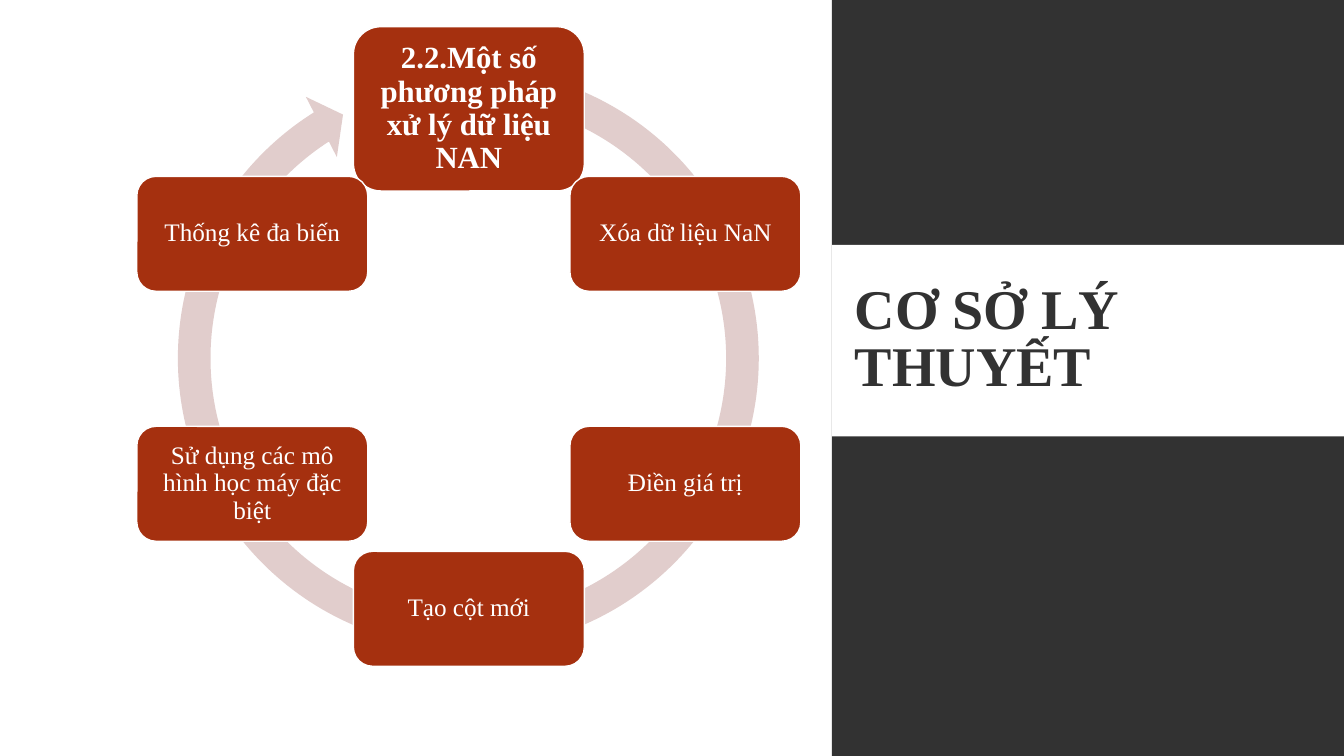
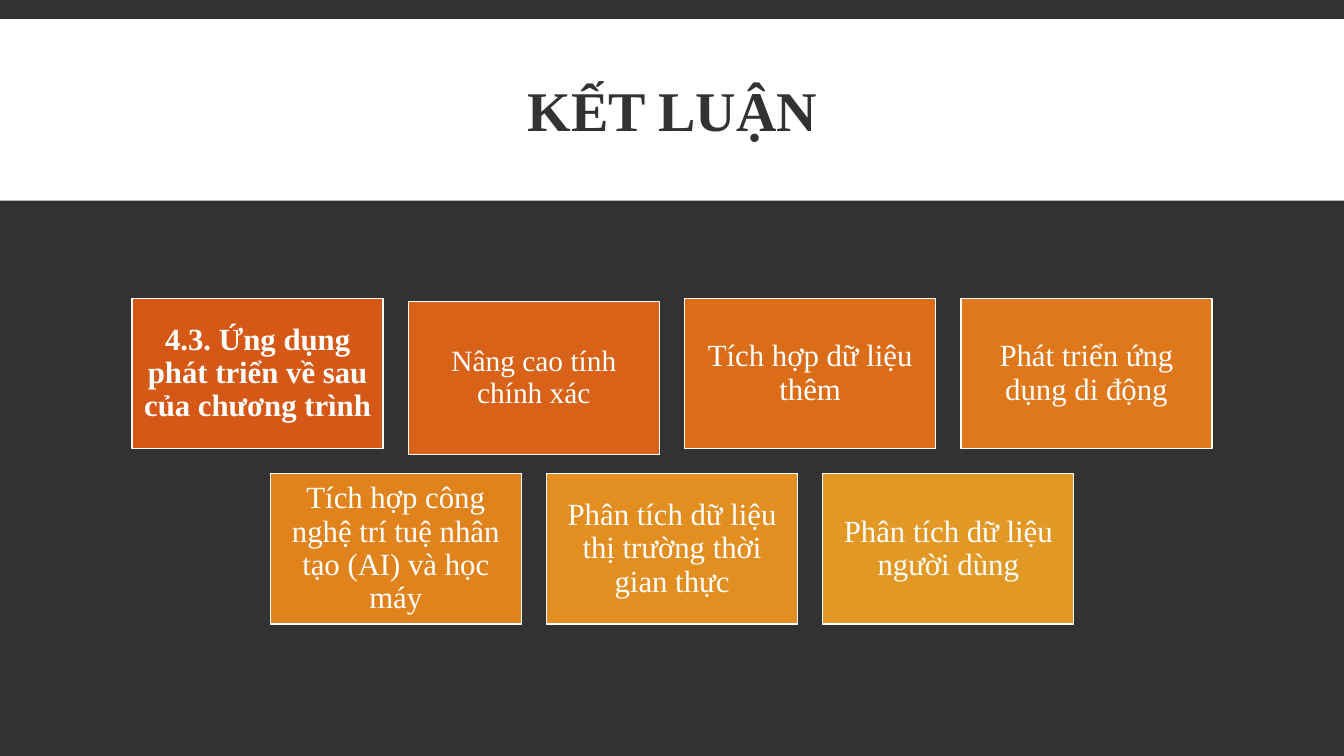
"""Build two slides: a cycle of NaN handling methods and a grid of future work."""
from math import cos, radians, sin

from pptx import Presentation
from pptx.dml.color import RGBColor
from pptx.enum.shapes import MSO_SHAPE as Shape
from pptx.enum.text import MSO_ANCHOR as Anchor, PP_ALIGN as Align
from pptx.util import Inches, Pt

COLORS = {"white": "FFFFFF", "dark": "323232", "ring": "E1CDCC", "node": "A5300F"}
FONT = "Times New Roman"
WIDTH, HEIGHT = 13.33, 7.5


def add_box(page, kind, left, top, width, height, fill, line=None):
    box = page.shapes.add_shape(kind, Inches(left), Inches(top), Inches(width), Inches(height))
    box.shadow.inherit = False
    box.fill.solid()
    box.fill.fore_color.rgb = RGBColor.from_string(fill)
    if line:
        box.line.color.rgb = RGBColor.from_string(line)
        box.line.width = Pt(1)
    else:
        box.line.fill.background()
    return box


def write(box, text, size, color, bold=False, align=Align.CENTER, spacing=0.9, inset=(0.09, 0.09)):
    frame = box.text_frame
    frame.word_wrap = True
    frame.vertical_anchor = Anchor.MIDDLE
    frame.margin_left = frame.margin_right = Inches(inset[0])
    frame.margin_top = frame.margin_bottom = Inches(inset[1])
    para = frame.paragraphs[0]
    para.alignment = align
    para.line_spacing = spacing
    span = para.add_run()
    span.text = text
    span.font.name = FONT
    span.font.size = Pt(size)
    span.font.bold = bold
    span.font.color.rgb = RGBColor.from_string(color)


deck = Presentation()
deck.slide_width, deck.slide_height = Inches(WIDTH), Inches(HEIGHT)

SLIDES = [
    ("CƠ SỞ LÝ THUYẾT", "white", Align.LEFT, (8.38, 2.56, 4.52, 1.65),
     [((8.25, 0, 5.08, HEIGHT), "dark"), ((8.25, 2.43, 5.08, 1.9), "white")]),
    ("KẾT LUẬN", "dark", Align.CENTER, (1.32, 0.31, 10.7, 1.65),
     [((0, 0.19, WIDTH, 1.8), "white")]),
]
pages = []
for title, background, align, place, bands in SLIDES:
    page = deck.slides.add_slide(deck.slide_layouts[6])
    page.background.fill.solid()
    page.background.fill.fore_color.rgb = RGBColor.from_string(COLORS[background])
    for band, color in bands:
        add_box(page, Shape.RECTANGLE, *band, COLORS[color])
    title_box = page.shapes.add_textbox(*[Inches(length) for length in place])
    write(title_box, title, 40, COLORS["dark"], True, align, 0.85, (0.1, 0.05))
    pages.append(page)
theory, conclusion = pages

ring = add_box(theory, Shape.CIRCULAR_ARROW, 1.59, 0.5, 6.11, 6.11, COLORS["ring"])
for index, value in enumerate([0.053, 3.126, 142.551, 171.113, 0.055]):
    ring.adjustments[index] = value

METHODS = [
    "2.2.Một số phương pháp xử lý dữ liệu NAN",
    "Xóa dữ liệu NaN",
    "Điền giá trị",
    "Tạo cột mới",
    "Sử dụng các mô hình học máy đặc biệt",
    "Thống kê đa biến",
]
CENTER_X, CENTER_Y, RADIUS, NODE_WIDTH = 4.65, 3.56, 2.48, 2.29
for index, method in enumerate(METHODS):
    heading = index == 0
    node_height = 1.63 if heading else 1.14
    angle = radians(index * 360 / len(METHODS))
    left = CENTER_X + RADIUS * sin(angle) - NODE_WIDTH / 2
    top = CENTER_Y - RADIUS * cos(angle) - node_height / 2
    node = add_box(theory, Shape.ROUNDED_RECTANGLE, left, top, NODE_WIDTH, node_height,
                   COLORS["node"], COLORS["white"])
    inset = 0.09 if heading else 0.07
    write(node, method, 22 if heading else 18, COLORS["white"], heading, inset=(inset, inset))

PLAN_ROWS = [
    [("4.3. Ứng dụng phát triển về sau của chương trình", "D55816", 22, 0),
     ("Nâng cao tính chính xác", "D86318", 21, 0.03),
     ("Tích hợp dữ liệu thêm", "DB6D19", 22, 0),
     ("Phát triển ứng dụng di động", "DE781B", 22, 0)],
    [("Tích hợp công nghệ trí tuệ nhân tạo (AI) và học máy", "E1831C", 22, 0),
     ("Phân tích dữ liệu thị trường thời gian thực", "E28E20", 22, 0),
     ("Phân tích dữ liệu người dùng", "E19825", 22, 0)],
]
CARD_WIDTH, CARD_HEIGHT, GAP, FIRST_TOP = 2.49, 1.49, 0.25, 2.96
for row, cards in enumerate(PLAN_ROWS):
    row_left = (WIDTH - len(cards) * (CARD_WIDTH + GAP) + GAP) / 2
    row_top = FIRST_TOP + row * (CARD_HEIGHT + GAP)
    for column, (text, fill, size, drop) in enumerate(cards):
        card = add_box(conclusion, Shape.RECTANGLE, row_left + column * (CARD_WIDTH + GAP),
                       row_top + drop, CARD_WIDTH, CARD_HEIGHT + drop, fill, COLORS["white"])
        write(card, text, size, COLORS["white"], row == 0 and column == 0)

deck.save("out.pptx")
